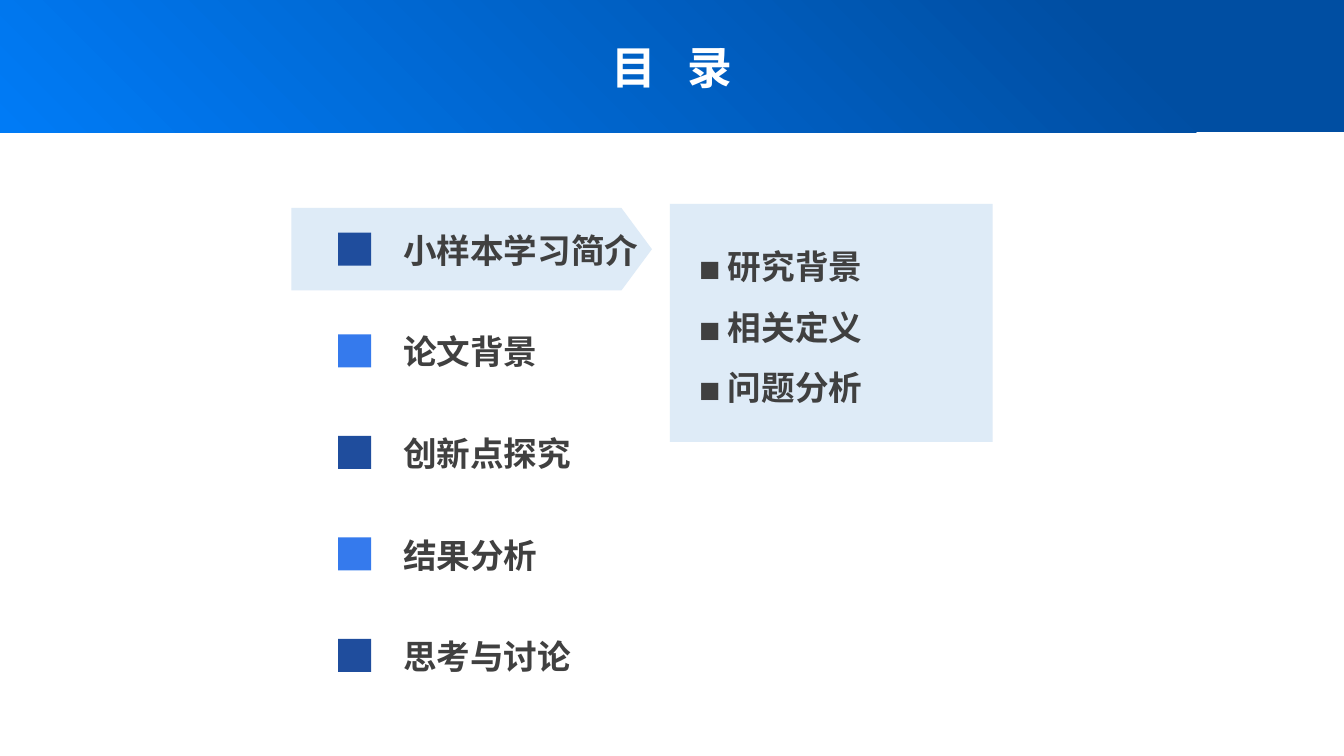
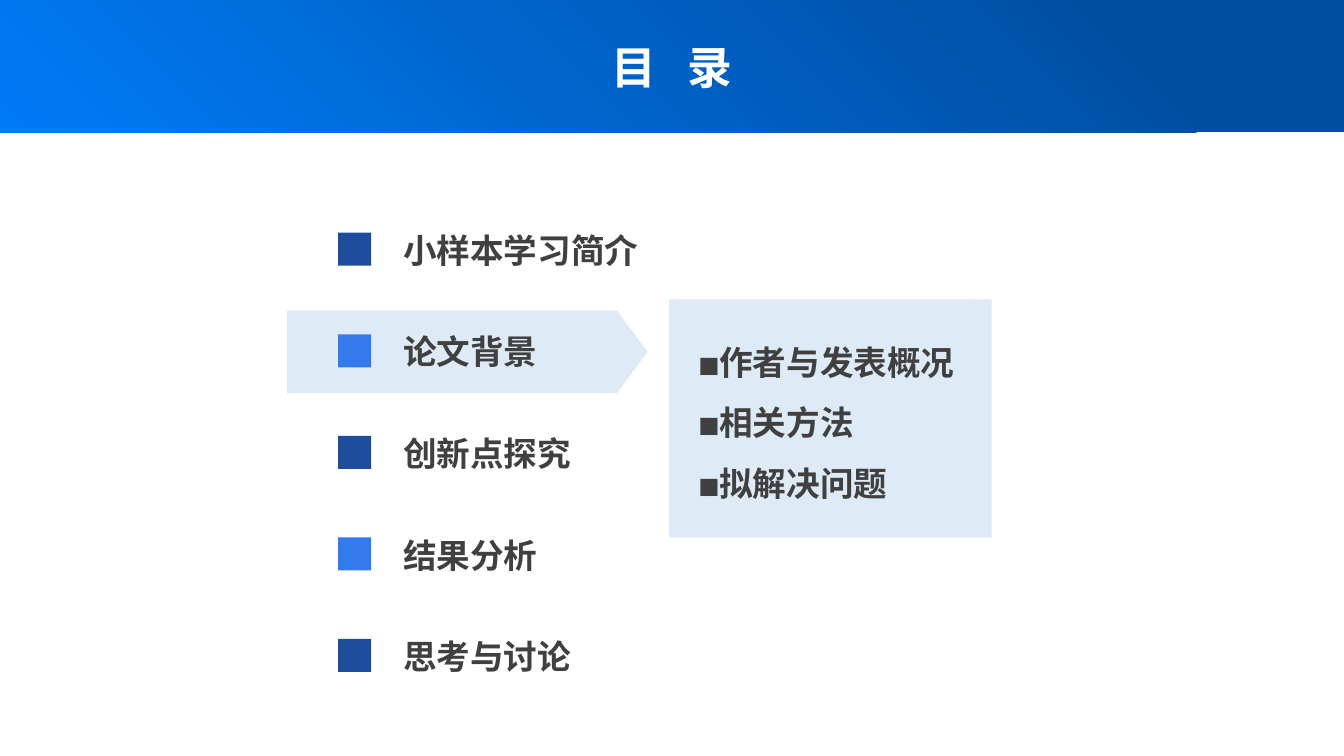
from lxml import etree
from pptx import Presentation
from pptx.dml.color import RGBColor
from pptx.enum import shapes, text
from pptx.oxml import ns
from pptx.util import Pt

FONT = "Noto Sans CJK SC"
WHITE, INK, PALE = "FFFFFF", "404040", "DEEBF7"
NAVY, AZURE = "1F4D9D", "357AED"
BAND_DARK, BAND_LIGHT = "004EA2", "007BF6"

PAGE_WIDTH, PAGE_HEIGHT, BAND_HEIGHT = 960, 540, 94.4
ROW_TOP, ROW_PITCH = 160.6, 72.55
MARKER_SIZE = 23.6
TITLE_GAP = 7.2

CHAPTERS = ["小样本学习简介", "论文背景", "创新点探究", "结果分析", "思考与讨论"]


def colour(hex_code):
    return RGBColor.from_string(hex_code)


def add_block(page, kind, left, top, width, height, fill=None):
    """Add a borderless, shadowless preset shape, solid when a fill is given."""
    block = page.shapes.add_shape(kind, Pt(left), Pt(top), Pt(width), Pt(height))
    block.shadow.inherit = False
    block.line.fill.background()
    if fill:
        block.fill.solid()
        block.fill.fore_color.rgb = colour(fill)
    return block


def style_paragraph(para, size, hex_code):
    """Set bold text in the deck font, for Latin and East Asian characters."""
    font = para.font
    font.size, font.bold = Pt(size), True
    font.color.rgb = colour(hex_code)
    font.name = FONT
    east_asian = etree.SubElement(font._element, ns.qn("a:ea"))
    east_asian.set("typeface", FONT)


def set_bullet(para, indent):
    """Give a paragraph a hanging square bullet."""
    props = para._p.get_or_add_pPr()
    props.set("marL", str(Pt(indent)))
    props.set("indent", str(-Pt(indent)))
    font = etree.Element(ns.qn("a:buFont"), typeface=FONT)
    char = etree.Element(ns.qn("a:buChar"), char="◼")
    defaults = props.find(ns.qn("a:defRPr"))
    for element in (font, char):
        defaults.addprevious(element)


def add_band(page):
    band = add_block(page, shapes.MSO_SHAPE.RECTANGLE, 0, 0, PAGE_WIDTH, BAND_HEIGHT)
    band.fill.gradient()
    band.fill.gradient_angle = 225
    stops = zip(band.fill.gradient_stops, (0.17, 1), (BAND_DARK, BAND_LIGHT))
    for stop, position, hex_code in stops:
        stop.position = position
        stop.color.rgb = colour(hex_code)
    page.shapes._spTree.insert(2, band._element)  # behind the title


def set_title(page):
    title = page.shapes.title
    title.left, title.top, title.width, title.height = map(Pt, (404, 24.5, 152, 46))
    frame = title.text_frame
    frame.auto_size = text.MSO_AUTO_SIZE.NONE
    frame.vertical_anchor = text.MSO_ANCHOR.MIDDLE
    para = frame.paragraphs[0]
    para.alignment = text.PP_ALIGN.CENTER
    for part in ("目 ", "录"):
        span = para.add_run()
        span.text = part
    para.runs[0].font._element.set("spc", str(round(TITLE_GAP * 100)))
    style_paragraph(para, 32, WHITE)


def add_chapter(page, row, name):
    top = ROW_TOP + row * ROW_PITCH
    add_block(page, shapes.MSO_SHAPE.RECTANGLE, 241.6, top + 5.6,
              MARKER_SIZE, MARKER_SIZE, (NAVY, AZURE)[row % 2])
    box = page.shapes.add_textbox(Pt(280.8), Pt(top), Pt(190), Pt(36))
    box.text_frame.word_wrap = True
    para = box.text_frame.paragraphs[0]
    para.text = name
    style_paragraph(para, 24, INK)


def add_highlight(page, left, top):
    arrow = add_block(page, shapes.MSO_SHAPE.PENTAGON, left, top, 257.6, 59, PALE)
    arrow.adjustments[0] = 0.37


def add_topics(page, left, top, topics, indent):
    panel = add_block(page, shapes.MSO_SHAPE.RECTANGLE, left, top, 230.4, 170, PALE)
    frame = panel.text_frame
    frame.word_wrap = True
    frame.vertical_anchor = text.MSO_ANCHOR.TOP
    frame.margin_left, frame.margin_top = Pt(21), Pt(15.8)
    frame.text = "\n".join(topics)
    for para in frame.paragraphs:
        para.alignment = text.PP_ALIGN.LEFT
        para.line_spacing = 1.5
        style_paragraph(para, 24, INK)
        set_bullet(para, indent)


def add_contents_page(deck, arrow_at, panel_at, topics, indent):
    page = deck.slides.add_slide(deck.slide_layouts[5])
    add_band(page)
    set_title(page)
    add_highlight(page, *arrow_at)
    for row, name in enumerate(CHAPTERS):
        add_chapter(page, row, name)
    add_topics(page, *panel_at, topics, indent)


def main():
    deck = Presentation()
    deck.slide_width, deck.slide_height = Pt(PAGE_WIDTH), Pt(PAGE_HEIGHT)
    add_contents_page(deck, (208.1, 148.5), (478.6, 145.6),
                      ["研究背景", "相关定义", "问题分析"], 20.3)
    add_contents_page(deck, (205, 221.8), (478, 213.8),
                      ["作者与发表概况", "相关方法", "拟解决问题"], 14)
    deck.save("out.pptx")


if __name__ == "__main__":
    main()
